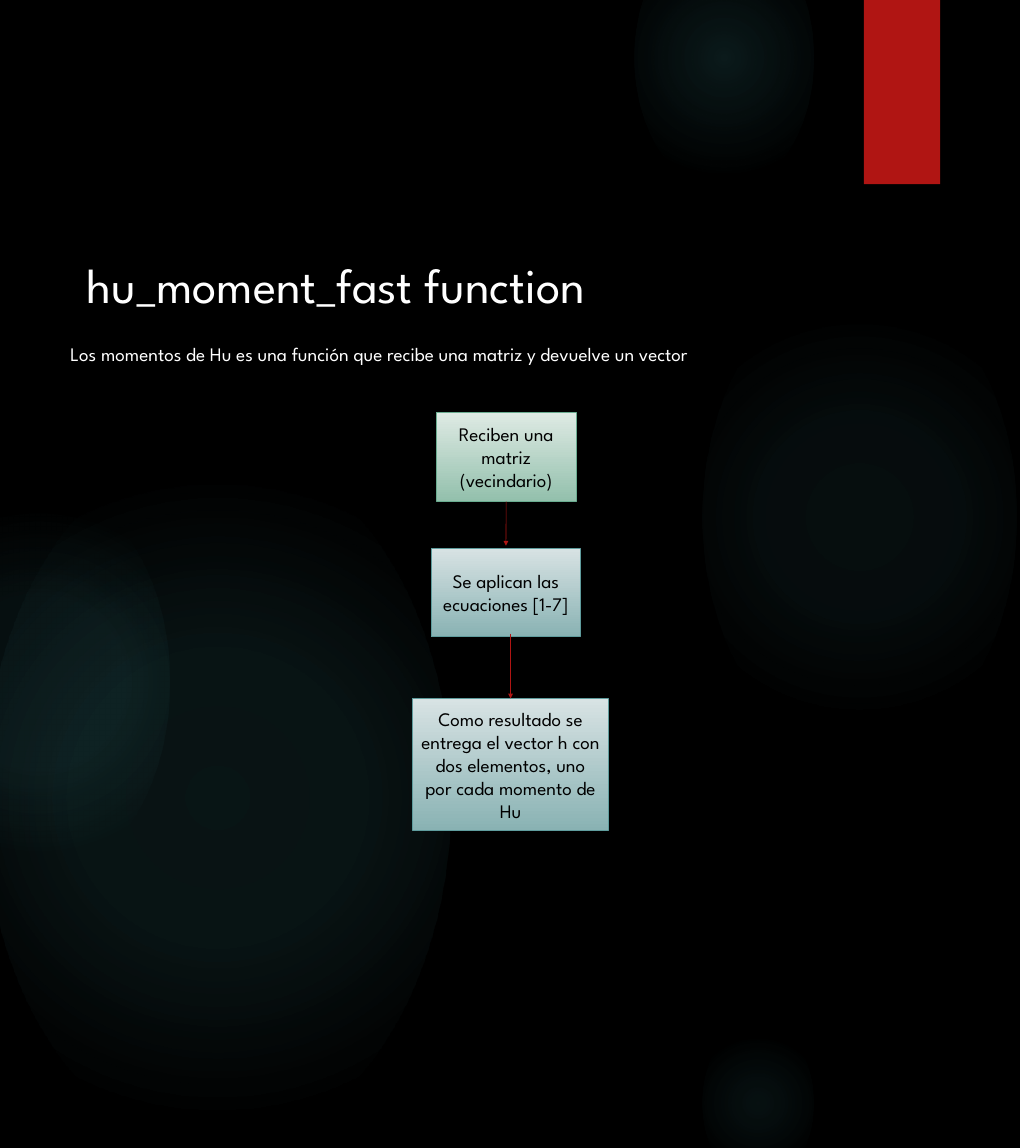
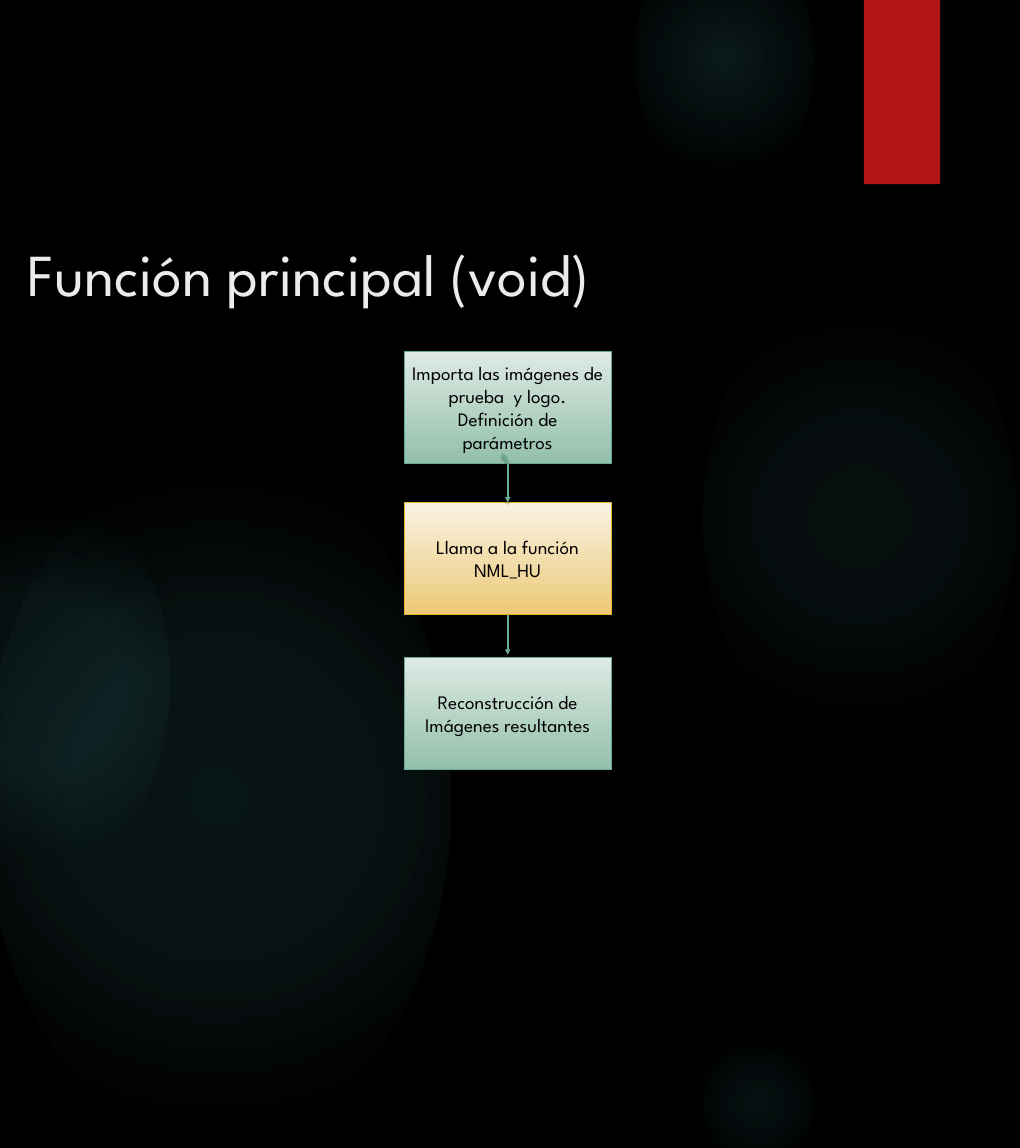
from dataclasses import dataclass
from typing import Optional

from pptx import Presentation
from pptx.dml.color import RGBColor
from pptx.enum.shapes import MSO_CONNECTOR, MSO_SHAPE
from pptx.enum.text import MSO_ANCHOR, MSO_AUTO_SIZE, PP_ALIGN
from pptx.oxml import parse_xml
from pptx.oxml.ns import nsdecls, qn
from pptx.util import Emu, Pt

EMU_PER_PX = 9144  # 100 px to the inch
FONT = "League Spartan"
BODY_SIZE = 23.6
TITLE_ONLY_LAYOUT = 5
TOP, BOTTOM = 0, 2  # connection sites of a rectangle

COLOURS = {
    "background": "000000",
    "glow": "50B9C1",
    "red": "B01513",
    "white": "FFFFFF",
    "off_white": "EBEBEB",
    "black": "000000",
    "green_line": "6AAC90",
    "green_light": "DEEAE4",
    "green_dark": "93C0AC",
    "teal_line": "5F9C9D",
    "teal_light": "D8E3E4",
    "teal_dark": "89B2B3",
    "gold_line": "E6B729",
    "gold_light": "FAF2E3",
    "gold_dark": "ECC977",
}


@dataclass(frozen=True)
class Area:
    left: int
    top: int
    width: int
    height: int

    def emu(self) -> tuple:
        return tuple(px(n) for n in (self.left, self.top, self.width, self.height))


@dataclass(frozen=True)
class Glow:
    """A radial glow; stops are (position, opacity) in percent."""
    area: Area
    stops: tuple


@dataclass(frozen=True)
class Step:
    area: Area
    tone: str
    lines: tuple


@dataclass(frozen=True)
class Arrow:
    """Runs from begin to end; a step index joins that end to the step."""
    begin: tuple
    end: tuple
    from_step: Optional[int] = None
    to_step: Optional[int] = None


@dataclass(frozen=True)
class ArrowStyle:
    colour: str
    width: float
    shadowed: bool


@dataclass(frozen=True)
class Title:
    area: Area
    text: str
    size: float
    colour: str


GLOWS = (
    Glow(Area(1205, 481, 539, 809), ((0, 7), (36, 6), (69, 0))),
    Glow(Area(1089, -131, 306, 459), ((0, 14), (36, 7), (73, 0))),
    Glow(Area(1205, 1750, 190, 284), ((0, 9), (36, 5), (66, 0))),
    Glow(Area(-29, 766, 802, 1203), ((0, 11), (36, 10), (75, 0))),
    Glow(Area(-161, 831, 452, 678), ((0, 8), (36, 8), (72, 0))),
)
BAND = Area(1482, 0, 131, 316)

HU_TITLE = Title(Area(139, 433, 1082, 111), "hu_moment_fast function", 60, "white")
HU_SUMMARY = "Los momentos de Hu es una función que recibe una matriz y devuelve un vector"
HU_SUMMARY_AREA = Area(111, 583, 1314, 50)
HU_STEPS = (
    Step(Area(748, 708, 241, 152), "green", ("Reciben una matriz (vecindario)",)),
    Step(Area(740, 940, 256, 152), "teal", ("Se aplican las ecuaciones [1-7]",)),
    Step(Area(708, 1198, 336, 227), "teal",
         ("Como resultado se entrega el vector h con dos elementos, uno por cada momento de Hu",)),
)
HU_ARROWS = (
    Arrow((868, 860), (868, 936), from_step=0),
    Arrow((876, 1087), (876, 1198), to_step=2),
)
HU_ARROW_STYLE = ArrowStyle("red", 0.75, False)

MAIN_TITLE = Title(Area(37, 401, 1350, 201), "Función principal (void)", 73.5, "off_white")
MAIN_STEPS = (
    Step(Area(693, 602, 356, 192), "green",
         ("Importa las imágenes de prueba  y logo.", "Definición de parámetros")),
    Step(Area(693, 862, 356, 192), "gold", ("Llama a la función NML_HU",)),
    Step(Area(693, 1128, 356, 192), "green", ("Reconstrucción de", "Imágenes resultantes")),
)
MAIN_ARROWS = (
    Arrow((871, 794), (861, 777), from_step=0),
    Arrow((871, 794), (871, 862), from_step=0, to_step=1),
    Arrow((871, 1054), (871, 1123), from_step=1),
)
MAIN_ARROW_STYLE = ArrowStyle("green_line", 2.25, True)


def px(length: int) -> Emu:
    return Emu(length * EMU_PER_PX)


def rgb(name: str) -> RGBColor:
    return RGBColor.from_string(COLOURS[name])


def set_effects(shape, shadowed: bool = False) -> None:
    """Replace the theme's shadow by the deck's soft one, or by none."""
    shadow = (
        '<a:outerShdw blurRad="38100" dist="25400" dir="5400000" rotWithShape="0">'
        f'<a:srgbClr val="{COLOURS["black"]}"><a:alpha val="45000"/></a:srgbClr>'
        "</a:outerShdw>"
    ) if shadowed else ""
    effects = parse_xml(f'<a:effectLst {nsdecls("a")}>{shadow}</a:effectLst>')
    shape.element.spPr.append(effects)


def fill_radial(shape, stops: tuple) -> None:
    stop_xml = "".join(
        f'<a:gs pos="{position * 1000}"><a:srgbClr val="{COLOURS["glow"]}">'
        f'<a:alpha val="{opacity * 1000}"/></a:srgbClr></a:gs>'
        for position, opacity in stops
    )
    gradient = parse_xml(
        f'<a:gradFill {nsdecls("a")} rotWithShape="1"><a:gsLst>{stop_xml}</a:gsLst>'
        '<a:path path="circle"><a:fillToRect l="50000" t="50000" r="50000" b="50000"/>'
        "</a:path></a:gradFill>"
    )
    shape.fill.background()
    properties = shape.element.spPr
    properties.replace(properties.find(qn("a:noFill")), gradient)


def set_text(frame, lines: tuple, size: float, colour: str, alignment=PP_ALIGN.LEFT) -> None:
    for index, line in enumerate(lines):
        para = frame.paragraphs[0] if index == 0 else frame.add_paragraph()
        para.alignment = alignment
        span = para.add_run()
        span.text = line
        span.font.name = FONT
        span.font.size = Pt(size)
        span.font.color.rgb = rgb(colour)


def build_master(deck, page) -> None:
    """Draw the backdrop on the page, then move it to the slide master."""
    master = deck.slide_master
    master.background.fill.solid()
    master.background.fill.fore_color.rgb = rgb("background")
    decorations = []
    for glow in GLOWS:
        ellipse = page.shapes.add_shape(MSO_SHAPE.OVAL, *glow.area.emu())
        fill_radial(ellipse, glow.stops)
        ellipse.line.fill.background()
        set_effects(ellipse)
        decorations.append(ellipse)
    band = page.shapes.add_shape(MSO_SHAPE.RECTANGLE, *BAND.emu())
    band.fill.solid()
    band.fill.fore_color.rgb = rgb("red")
    band.line.fill.background()
    set_effects(band, shadowed=True)
    decorations.append(band)
    for position, shape in enumerate(decorations, start=2):
        master.shapes.element.insert(position, shape.element)


def add_title(page, title: Title) -> None:
    box = page.shapes.title
    box.left, box.top, box.width, box.height = title.area.emu()
    frame = box.text_frame
    frame.word_wrap = True
    frame.auto_size = MSO_AUTO_SIZE.NONE
    frame.vertical_anchor = MSO_ANCHOR.TOP
    set_text(frame, (title.text,), title.size, title.colour)


def add_summary(page, area: Area, text: str) -> None:
    frame = page.shapes.add_textbox(*area.emu()).text_frame
    frame.word_wrap = True
    set_text(frame, (text,), BODY_SIZE, "white")


def add_step(page, step: Step):
    box = page.shapes.add_shape(MSO_SHAPE.RECTANGLE, *step.area.emu())
    box.fill.gradient()
    box.fill.gradient_angle = 270
    for stop, shade in zip(box.fill.gradient_stops, ("light", "dark")):
        stop.color.rgb = rgb(f"{step.tone}_{shade}")
    box.line.color.rgb = rgb(f"{step.tone}_line")
    box.line.width = Pt(0.75)
    set_effects(box)
    frame = box.text_frame
    frame.word_wrap = True
    frame.vertical_anchor = MSO_ANCHOR.MIDDLE
    frame.margin_left = frame.margin_right = px(13)
    frame.margin_top = frame.margin_bottom = px(7)
    set_text(frame, step.lines, BODY_SIZE, "black", PP_ALIGN.CENTER)
    return box


def add_arrow(page, arrow: Arrow, style: ArrowStyle, boxes: list) -> None:
    ends = [px(n) for n in (*arrow.begin, *arrow.end)]
    connector = page.shapes.add_connector(MSO_CONNECTOR.STRAIGHT, *ends)
    if arrow.from_step is not None:
        connector.begin_connect(boxes[arrow.from_step], BOTTOM)
    if arrow.to_step is not None:
        connector.end_connect(boxes[arrow.to_step], TOP)
    connector.line.color.rgb = rgb(style.colour)
    connector.line.width = Pt(style.width)
    outline = connector.element.spPr.find(qn("a:ln"))
    outline.append(parse_xml(f'<a:tailEnd {nsdecls("a")} type="triangle"/>'))
    set_effects(connector, style.shadowed)


def add_flow(page, steps: tuple, arrows: tuple, style: ArrowStyle) -> None:
    boxes = [add_step(page, step) for step in steps]
    for arrow in arrows:
        add_arrow(page, arrow, style, boxes)


def main() -> None:
    deck = Presentation()
    deck.slide_width, deck.slide_height = px(1750), px(1969)
    layout = deck.slide_layouts[TITLE_ONLY_LAYOUT]

    hu_page = deck.slides.add_slide(layout)
    build_master(deck, hu_page)
    add_title(hu_page, HU_TITLE)
    add_summary(hu_page, HU_SUMMARY_AREA, HU_SUMMARY)
    add_flow(hu_page, HU_STEPS, HU_ARROWS, HU_ARROW_STYLE)

    main_page = deck.slides.add_slide(layout)
    add_title(main_page, MAIN_TITLE)
    add_flow(main_page, MAIN_STEPS, MAIN_ARROWS, MAIN_ARROW_STYLE)

    deck.save("out.pptx")


if __name__ == "__main__":
    main()
